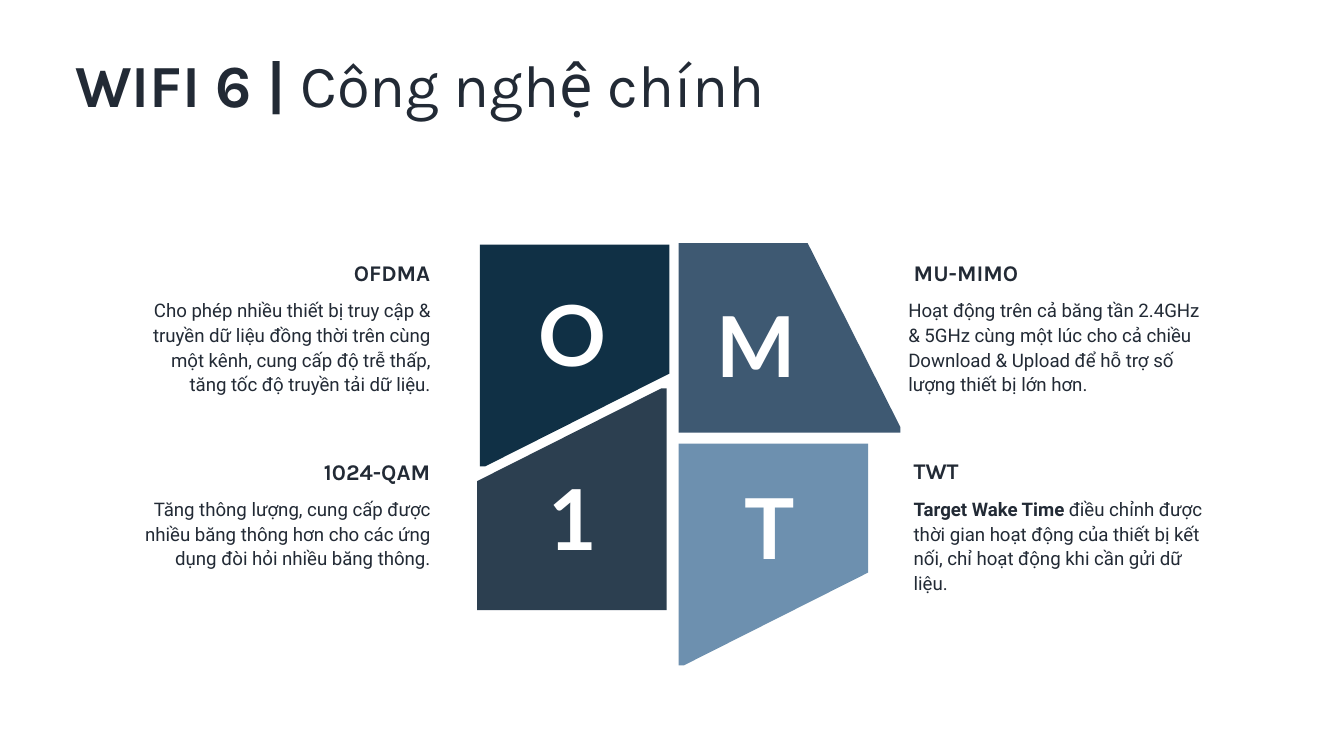
from dataclasses import dataclass

from pptx import Presentation
from pptx.dml.color import RGBColor
from pptx.enum import text
from pptx.util import Inches, Pt


@dataclass(frozen=True)
class Theme:
    ink: str = "222A35"
    white: str = "FFFFFF"
    navy: str = "103045"
    slate: str = "2C3F50"
    steel: str = "3E5972"
    sky: str = "6D90AF"
    title_font: str = "Karla"
    body_font: str = "Roboto"
    letter_font: str = "Lato"
    title_size: int = 32
    heading_size: int = 12
    body_size: int = 10
    letter_size: int = 45


THEME = Theme()
LEFT, CENTER, RIGHT = text.PP_ALIGN.LEFT, text.PP_ALIGN.CENTER, text.PP_ALIGN.RIGHT

TILE_OUTLINE = [(0, 0), (1.41, 0), (1.41, 0.96), (0.04, 1.65), (0, 1.65)]
TURNS = {
    0: lambda x, y: (x, y),
    180: lambda x, y: (-x, -y),
    270: lambda x, y: (y, -x),
}

TILES = [
    ("O", (3.57, 1.82), 0, THEME.navy, (3.86, 2.05, 0.8)),
    ("1", (4.96, 4.54), 180, THEME.slate, (3.86, 3.42, 0.8)),
    ("T", (5.05, 3.3), 0, THEME.sky, (5.27, 3.48, 0.91)),
    ("M", (5.05, 3.22), 270, THEME.steel, (5.23, 2.13, 0.74)),
]

TOPICS = [
    ("OFDMA", (2.21, 1.88, 1.09), (0.92, 2.16), RIGHT,
     [("Cho phép nhiều thiết bị truy cập & truyền dữ liệu đồng thời trên cùng "
       "một kênh, cung cấp độ trễ thấp, tăng tốc độ truyền tải dữ liệu.", False)]),
    ("1024-QAM", (1.8, 3.36, 1.5), (0.92, 3.64), RIGHT,
     [("Tăng thông lượng, cung cấp được nhiều băng thông hơn cho các ứng dụng "
       "đòi hỏi nhiều băng thông.", False)]),
    ("MU-MIMO", (6.7, 1.88, 2.39), (6.66, 2.16), LEFT,
     [("Hoạt động trên cả băng tần 2.4GHz & 5GHz cùng một lúc cho cả chiều "
       "Download & Upload để hỗ trợ số lượng thiết bị lớn hơn.", False)]),
    ("TWT", (6.7, 3.35, 2.38), (6.7, 3.64), LEFT,
     [("Target Wake Time ", True),
      ("điều chỉnh được thời gian hoạt động của thiết bị kết nối, chỉ hoạt động "
       "khi cần gửi dữ liệu.", False)]),
]


def add_text(slide, box, runs, font, size, color=THEME.ink, align=LEFT,
             anchor=text.MSO_ANCHOR.TOP, spacing=None, grow=True):
    frame = slide.shapes.add_textbox(*map(Inches, box)).text_frame
    frame.word_wrap = True
    frame.vertical_anchor = anchor
    frame.auto_size = (text.MSO_AUTO_SIZE.SHAPE_TO_FIT_TEXT if grow
                       else text.MSO_AUTO_SIZE.NONE)
    paragraph = frame.paragraphs[0]
    paragraph.alignment = align
    paragraph.line_spacing = spacing
    for words, bold in runs:
        run = paragraph.add_run()
        run.text = words
        run.font.name = font
        run.font.size = Pt(size)
        run.font.bold = bold
        run.font.color.rgb = RGBColor.from_string(color)


def add_tile(slide, corner, turn, color):
    points = []
    for x, y in TILE_OUTLINE:
        across, down = TURNS[turn](x, y)
        points.append((Inches(corner[0] + across), Inches(corner[1] + down)))
    builder = slide.shapes.build_freeform(*points[0])
    builder.add_line_segments(points[1:], close=True)
    shape = builder.convert_to_shape()
    shape.shadow.inherit = False
    shape.fill.solid()
    shape.fill.fore_color.rgb = RGBColor.from_string(color)
    shape.line.fill.background()


def add_letter(slide, letter, place):
    add_text(slide, (*place, 0.86), [(letter, True)], THEME.letter_font,
             THEME.letter_size, THEME.white, CENTER, text.MSO_ANCHOR.MIDDLE)


def add_topic(slide, heading, heading_place, body_place, align, runs):
    add_text(slide, (*body_place, 2.38, 0.96), runs, THEME.body_font,
             THEME.body_size, align=align, spacing=1.1, grow=False)
    add_text(slide, (*heading_place, 0.3), [(heading, True)],
             THEME.title_font, THEME.heading_size, align=align)


def main():
    presentation = Presentation()
    presentation.slide_width = Inches(10)
    presentation.slide_height = Inches(10) * 9 // 16
    slide = presentation.slides.add_slide(presentation.slide_layouts[6])
    add_text(slide, (0.46, 0.31, 9.08, 0.64),
             [("WIFI 6 | ", True), ("Công nghệ chính", False)],
             THEME.title_font, THEME.title_size)
    for topic in TOPICS:
        add_topic(slide, *topic)
    for letter, corner, turn, color, place in TILES:
        add_tile(slide, corner, turn, color)
        add_letter(slide, letter, place)
    presentation.save("out.pptx")


if __name__ == "__main__":
    main()
